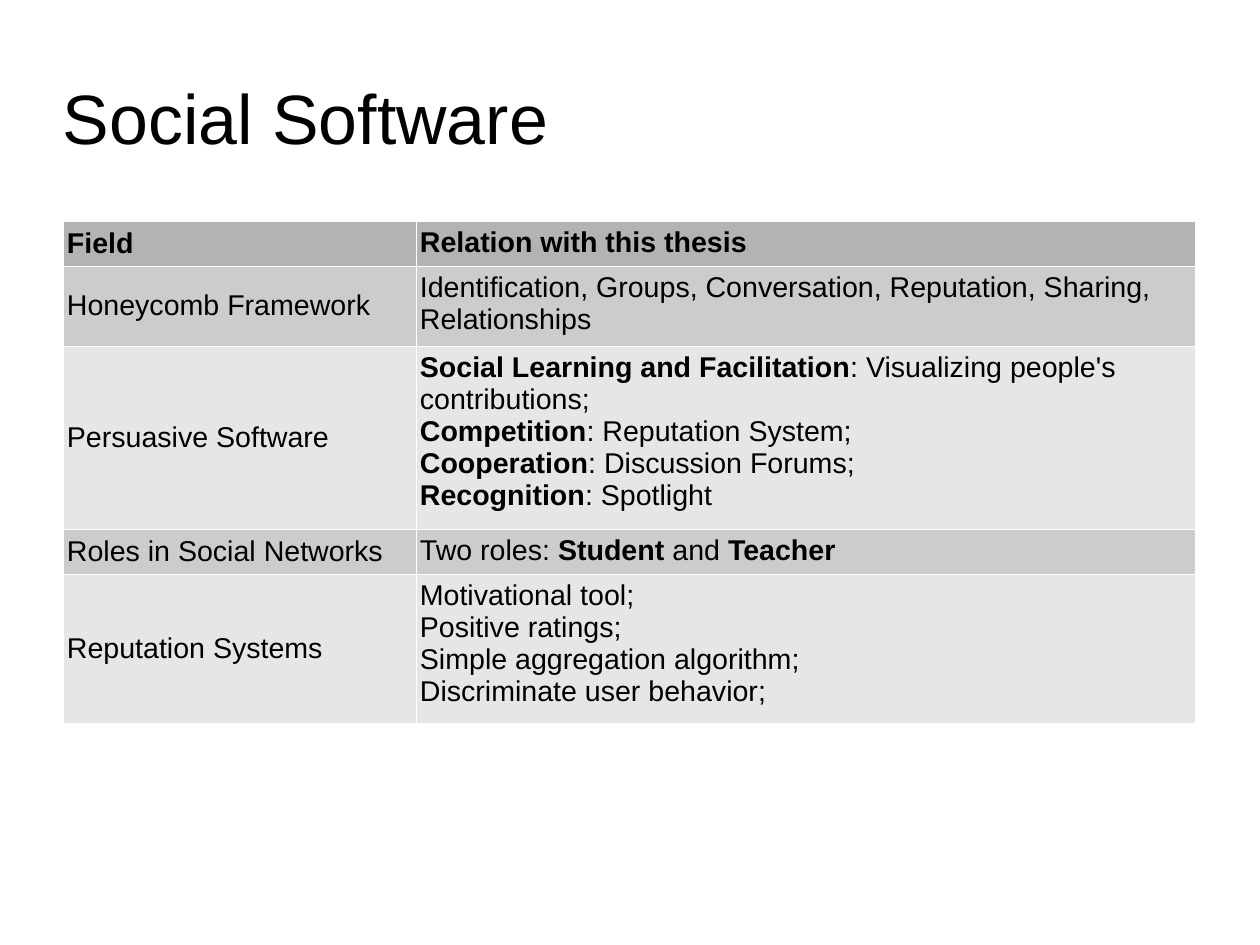
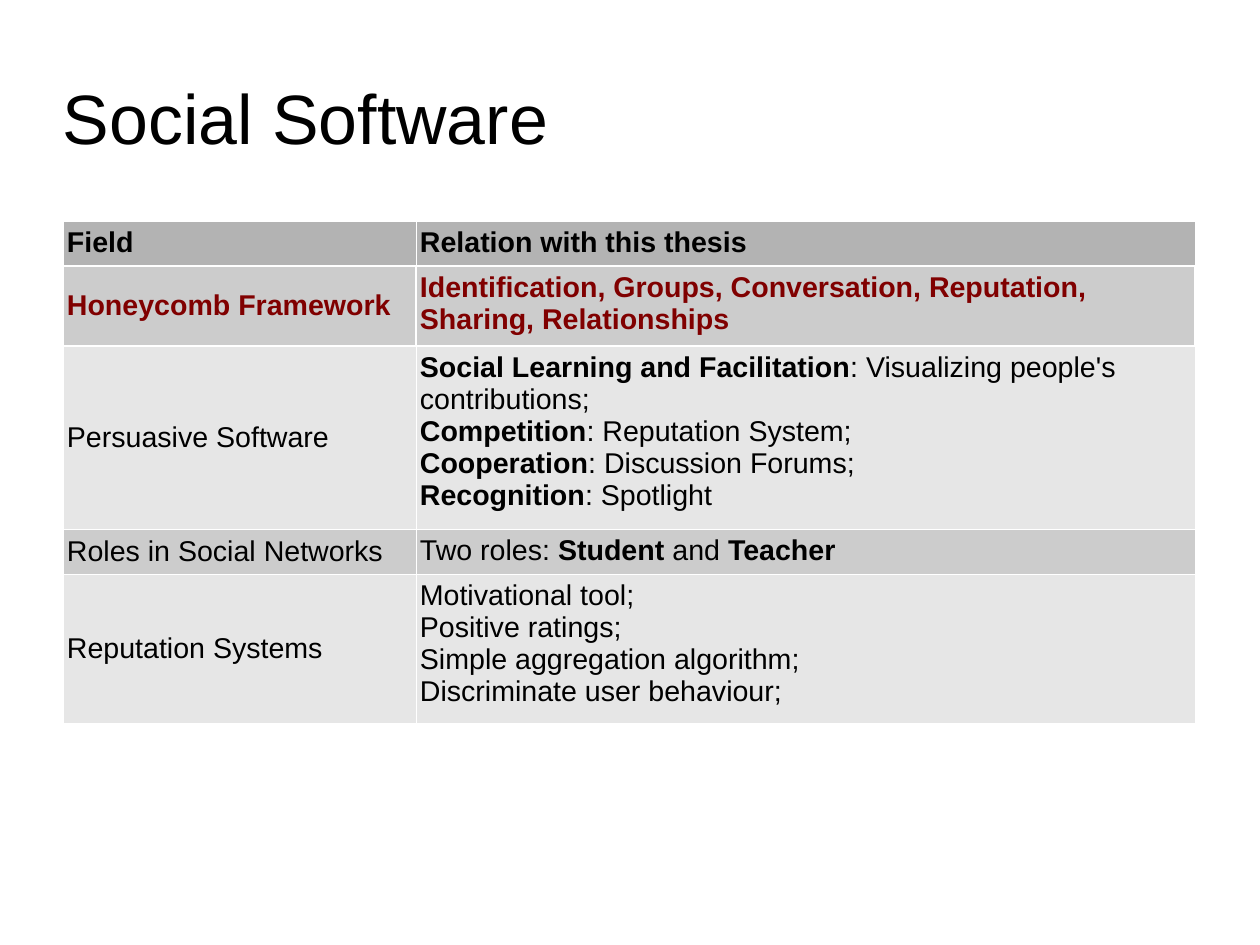
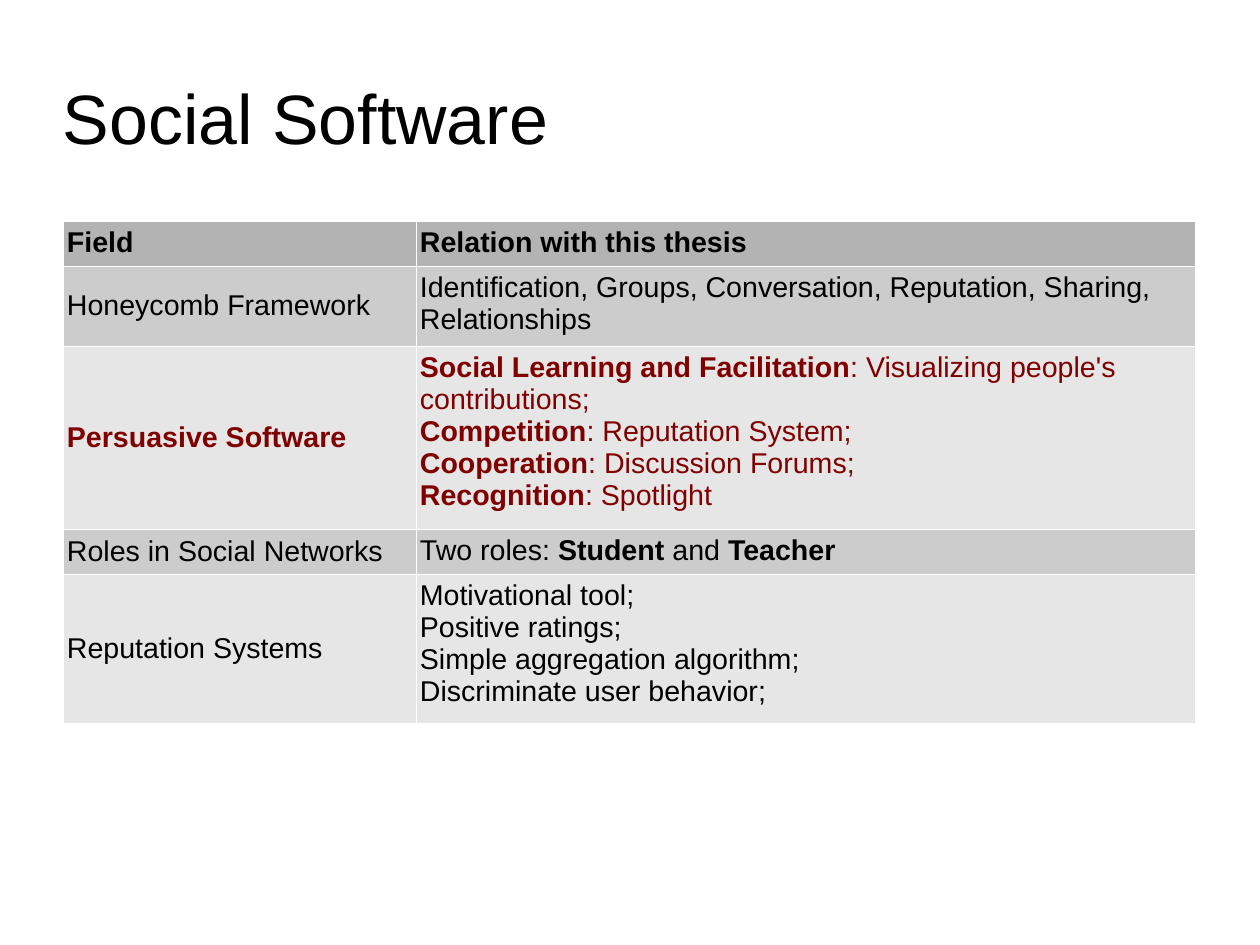
"""Builds three slides that step through the social software table."""
from lxml.etree import SubElement
from pptx import Presentation
from pptx.dml.color import RGBColor
from pptx.enum.text import MSO_ANCHOR, MSO_AUTO_SIZE, PP_ALIGN
from pptx.oxml.ns import qn
from pptx.util import Pt

TITLE = "Social Software"
ROWS = [
    ("Field", ["Relation with this thesis"]),
    ("Honeycomb Framework",
     ["Identification, Groups, Conversation, Reputation, Sharing, Relationships"]),
    ("Persuasive Software",
     ["*Social Learning and Facilitation*: Visualizing people's contributions;",
      "*Competition*: Reputation System;",
      "*Cooperation*: Discussion Forums;",
      "*Recognition*: Spotlight"]),
    ("Roles in Social Networks", ["Two roles: *Student *and *Teacher*"]),
    ("Reputation Systems",
     ["Motivational tool;", "Positive ratings;",
      "Simple aggregation algorithm;", "Discriminate user {};"]),
]
SLIDES = [
    {"hot": None, "framed": False, "head": MSO_ANCHOR.MIDDLE, "word": "behavior"},
    {"hot": 1, "framed": True, "head": MSO_ANCHOR.TOP, "word": "behaviour"},
    {"hot": 2, "framed": False, "head": MSO_ANCHOR.TOP, "word": "behavior"},
]

PX = 8000
SIZE = 1260, 945
TITLE_BOX = 63, 38, 1134, 158
LEFT, TOP = 63, 221
COLS = 353, 779
HEIGHTS = 45, 80, 183, 45, 149
PAD_X, PAD_Y = 4, 6
FONT = "Arial"
INK, HOT, EDGE = "000000", "800000", "FFFFFF"
HEAD, BANDS = "B3B3B3", ("E6E6E6", "CCCCCC")
THIN, THICK = 0.57, 1.19


def px(num):
    return num * PX


def rgb(code):
    return RGBColor.from_string(code)


def style(par, size, color):
    par.alignment = PP_ALIGN.LEFT
    par.font.name = FONT
    par.font.size = Pt(size)
    par.font.color.rgb = rgb(color)


def place(shape, box):
    shape.left, shape.top, shape.width, shape.height = map(px, box)


def edge(cell, side, width):
    line = SubElement(cell._tc.get_or_add_tcPr(), qn("a:" + side), w=str(Pt(width)))
    fill = SubElement(line, qn("a:solidFill"))
    SubElement(fill, qn("a:srgbClr"), val=EDGE)


def write(cell, lines, color, strong):
    frame = cell.text_frame
    for num, text in enumerate(lines):
        par = frame.add_paragraph() if num else frame.paragraphs[0]
        style(par, 18, color)
        for odd, part in enumerate(text.split("*")):
            if part:
                run = par.add_run()
                run.text = part
                run.font.bold = bool(odd % 2) or (strong and "*" not in text)


def paint(cell, row, col, look):
    cell.margin_left = cell.margin_right = px(PAD_X)
    cell.margin_top = cell.margin_bottom = px(PAD_Y)
    if col:
        cell.vertical_anchor = MSO_ANCHOR.TOP
    else:
        cell.vertical_anchor = MSO_ANCHOR.MIDDLE if row else look["head"]
    frame = look["hot"] if look["framed"] else None
    for side, rows in (("lnL", {row}), ("lnR", {row}),
                       ("lnT", {row, row - 1}), ("lnB", {row, row + 1})):
        edge(cell, side, THICK if frame in rows else THIN)
    cell.fill.solid()
    cell.fill.fore_color.rgb = rgb(BANDS[row % 2] if row else HEAD)


def grid(slide, look):
    shape = slide.shapes.add_table(len(ROWS), len(COLS), px(LEFT), px(TOP),
                                   px(sum(COLS)), px(sum(HEIGHTS)))
    table = shape.table
    table.first_row = table.horz_banding = False
    for col, width in zip(table.columns, COLS):
        col.width = px(width)
    for row, (field, lines) in enumerate(ROWS):
        table.rows[row].height = px(HEIGHTS[row])
        hot = row == look["hot"]
        for col, texts in enumerate(([field], lines)):
            cell = table.cell(row, col)
            texts = [text.format(look["word"]) for text in texts]
            write(cell, texts, HOT if hot else INK, hot or row == 0)
            paint(cell, row, col, look)


def main():
    deck = Presentation()
    deck.slide_width, deck.slide_height = map(px, SIZE)
    layout = deck.slide_layouts.get_by_name("Title Only")
    head = layout.placeholders[0]
    place(head, TITLE_BOX)
    frame = head.text_frame
    frame.margin_left = frame.margin_right = 0
    frame.margin_top = frame.margin_bottom = 0
    frame.vertical_anchor = MSO_ANCHOR.MIDDLE
    frame.auto_size = MSO_AUTO_SIZE.NONE
    for look in SLIDES:
        slide = deck.slides.add_slide(layout)
        title = slide.shapes.title
        title.text = TITLE
        style(title.text_frame.paragraphs[0], 44, INK)
        grid(slide, look)
    deck.save("out.pptx")


if __name__ == "__main__":
    main()
